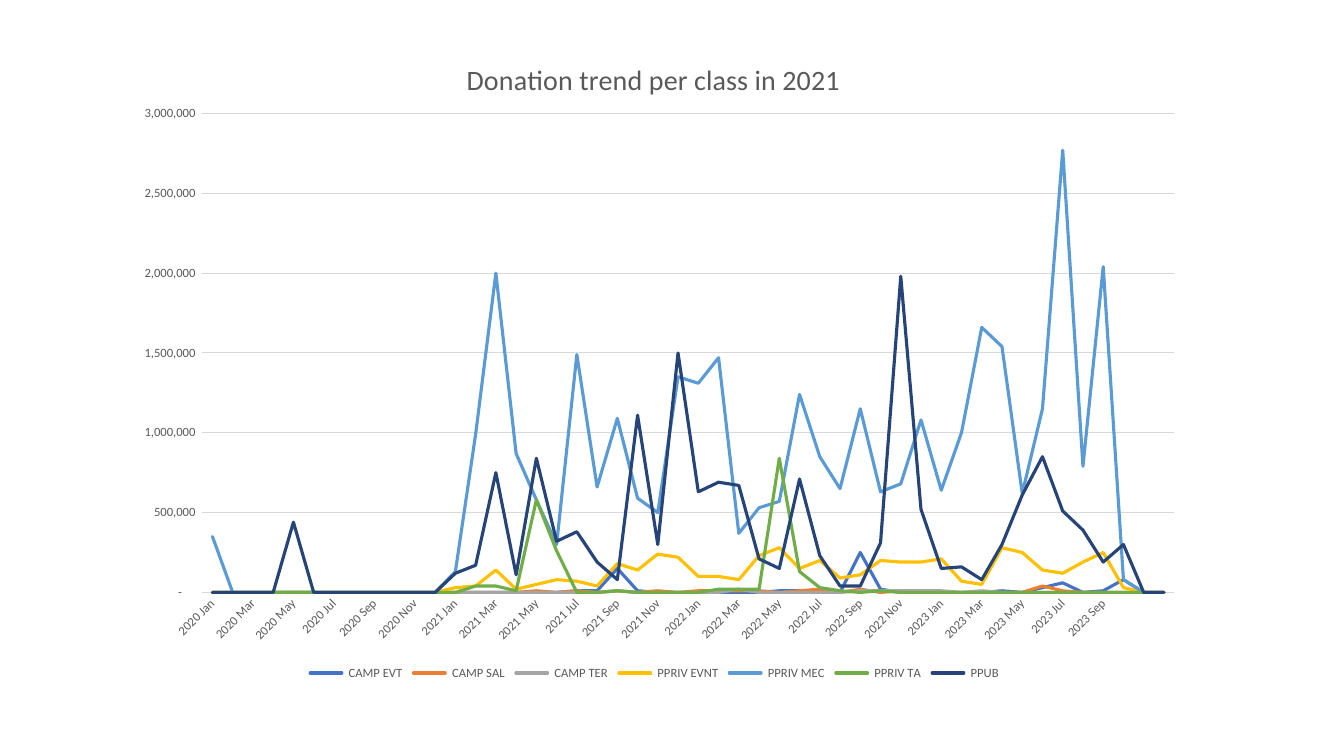
from itertools import product

from lxml.etree import SubElement
from pptx import Presentation
from pptx.chart.data import CategoryChartData
from pptx.dml.color import RGBColor
from pptx.enum.chart import XL_CHART_TYPE as ChartType
from pptx.enum.chart import XL_LEGEND_POSITION as LegendPosition
from pptx.enum.chart import XL_TICK_MARK as TickMark
from pptx.oxml.ns import qn
from pptx.util import Inches, Pt

COLORS = {
    "text": "595959", "grid": "D9D9D9",
    "CAMP EVT": "4472C4", "CAMP SAL": "ED7D31", "CAMP TER": "A5A5A5",
    "PPRIV EVNT": "FFC000", "PPRIV MEC": "5B9BD5", "PPRIV TA": "70AD47",
    "PPUB": "264478",
}
UNIT = 10_000

month_names = "Jan Feb Mar Apr May Jun Jul Aug Sep Oct Nov Dec".split()
months = [f"{year} {month}" for year, month in product(range(2020, 2024), month_names)]

# Occasional donations: amount in units of 10,000 and the months that reached it
occasional = {
    "CAMP EVT": {
        1: "2021 Jul, 2021 Aug, 2021 Oct, 2022 May, 2022 Jun, 2022 Jul, 2023 Apr, 2023 Sep",
        2: "2022 Oct", 3: "2023 Jun", 6: "2023 Jul", 8: "2023 Oct",
        15: "2021 Sep", 25: "2022 Sep"},
    "CAMP SAL": {
        1: "2021 May, 2021 Jul, 2021 Sep, 2021 Nov, 2022 Jan, 2022 Feb, 2022 Mar, "
           "2022 Apr, 2022 Jun, 2022 Nov, 2023 Jul",
        2: "2022 Jul, 2022 Sep", 4: "2023 Jun"},
    "CAMP TER": {
        1: "2021 Sep, 2022 Sep, 2022 Oct, 2022 Nov, 2022 Dec, 2023 Jan, 2023 Mar",
        2: "2022 Mar"},
    "PPRIV TA": {
        1: "2021 Apr, 2021 Sep, 2022 Aug, 2022 Oct",
        2: "2022 Feb, 2022 Mar, 2022 Apr", 3: "2022 Jul", 4: "2021 Feb, 2021 Mar",
        13: "2022 Jun", 26: "2021 Jun", 58: "2021 May", 84: "2022 May"},
    "PPRIV MEC": {35: "2020 Jan"},
    "PPUB": {44: "2020 May"},
}

# Regular donations in units of 10,000, month by month from January 2021
regular = {
    "PPRIV EVNT": [
        3, 4, 14, 2, 5, 8, 7, 4, 18, 14, 24, 22,
        10, 10, 8, 23, 28, 15, 20, 9, 11, 20, 19, 19,
        21, 7, 5, 28, 25, 14, 12, 19, 25, 3],
    "PPRIV MEC": [
        13, 99, 200, 87, 58, 30, 149, 66, 109, 59, 50, 135,
        131, 147, 37, 53, 57, 124, 85, 65, 115, 63, 68, 108,
        64, 100, 166, 154, 62, 115, 277, 79, 204, 8],
    "PPUB": [
        12, 17, 75, 11, 84, 32, 38, 19, 8, 111, 30, 150,
        63, 69, 67, 21, 15, 71, 23, 4, 4, 31, 198, 52,
        15, 16, 8, 30, 61, 85, 51, 39, 19, 30],
}
regular_months = months[months.index("2021 Jan"):]
donation_classes = [name for name in COLORS if name in occasional or name in regular]


def place(part, index, shares):
    """Give a chart part a manual layout in shares of the chart's size."""
    for old in part.findall(qn("c:layout")):
        part.remove(old)
    layout = SubElement(part, qn("c:layout"))
    part.insert(index, layout)
    manual = SubElement(layout, qn("c:manualLayout"))
    for tag, value in shares.items():
        SubElement(manual, qn(f"c:{tag}")).set("val", str(value))


def style_font(font, size):
    font.name = "Calibri"
    font.size = Pt(size)
    font.bold = False
    font.color.rgb = RGBColor.from_string(COLORS["text"])


presentation = Presentation()
presentation.slide_width, presentation.slide_height = Inches(13.33), Inches(7.5)
slide = presentation.slides.add_slide(presentation.slide_layouts[6])

# The last two months have values but no label
trend_data = CategoryChartData(number_format="#,##0")
trend_data.categories = months[:-2]
for donation_class in donation_classes:
    amounts = dict.fromkeys(months, 0)
    amounts.update(zip(regular_months, regular.get(donation_class, [])))
    for amount, reached in occasional.get(donation_class, {}).items():
        amounts.update(dict.fromkeys(reached.split(", "), amount))
    trend_data.add_series(f" {donation_class} ", [amounts[month] * UNIT for month in months])

trend = slide.shapes.add_chart(
    ChartType.LINE, Inches(1.15), Inches(0.28), Inches(10.71), Inches(6.51), trend_data
).chart
trend.font.name = "Calibri"
trend.font.size = Pt(10)

# Title
trend.has_title = True
heading = trend.chart_title.text_frame
heading.text = "Donation trend per class in 2021"
style_font(heading.paragraphs[0].runs[0].font, 20)
trend.chart_title.include_in_layout = False
place(trend.chart_title._element, 1,
      {"xMode": "edge", "yMode": "edge", "x": 0.32, "y": 0.04})
place(trend._chartSpace.chart.plotArea, 0,
      {"layoutTarget": "inner", "xMode": "edge", "yMode": "edge",
       "x": 0.08, "y": 0.13, "w": 0.9, "h": 0.73})

# Legend
trend.has_legend = True
trend.legend.position = LegendPosition.BOTTOM
trend.legend.include_in_layout = False
style_font(trend.legend.font, 9)

# Axes
month_axis, amount_axis = trend.category_axis, trend.value_axis
for axis in (month_axis, amount_axis):
    axis.major_tick_mark = axis.minor_tick_mark = TickMark.NONE
    style_font(axis.tick_labels.font, 9)

for line in (month_axis.format.line, amount_axis.major_gridlines.format.line):
    line.width = Pt(0.75)
    line.color.rgb = RGBColor.from_string(COLORS["grid"])
amount_axis.format.line.fill.background()

for setting, value in {"minimum_scale": 0, "maximum_scale": 3_000_000,
                       "major_unit": 500_000}.items():
    setattr(amount_axis, setting, value)
amount_axis.tick_labels.number_format = '_-* #,##0_-;\\-* #,##0_-;_-* "-"??_-;_-@_-'
amount_axis.tick_labels.number_format_is_linked = False

month_axis._element.txPr.find(qn("a:bodyPr")).set("rot", "-2700000")
label_step = SubElement(month_axis._element, qn("c:tickLblSkip"))
label_step.set("val", "2")
month_axis._element.find(qn("c:noMultiLvlLbl")).addprevious(label_step)

# Lines
trend.plots[0].vary_by_categories = False
for series, donation_class in zip(trend.plots[0].series, donation_classes):
    series.smooth = False
    line = series.format.line
    line.width = Pt(2.25)
    line.color.rgb = RGBColor.from_string(COLORS[donation_class])
    series._element.spPr.find(qn("a:ln")).set("cap", "rnd")

presentation.save("out.pptx")
